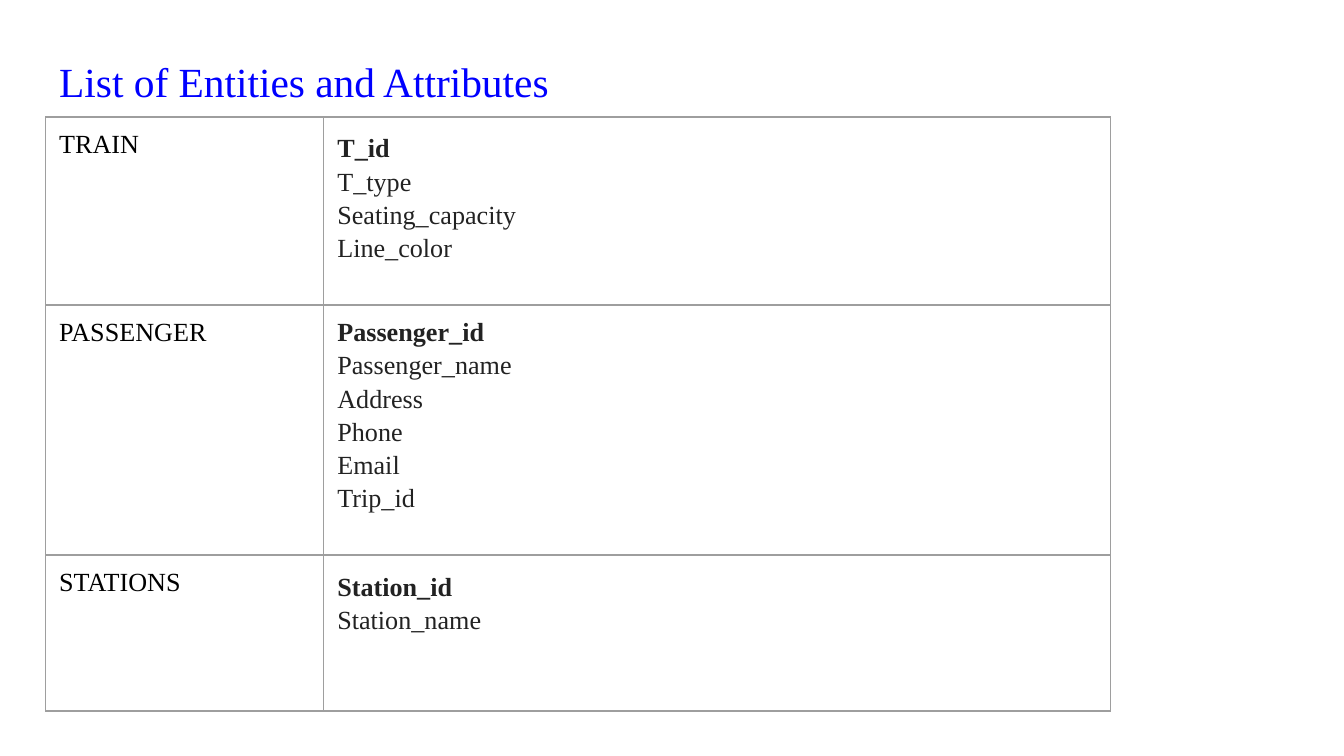
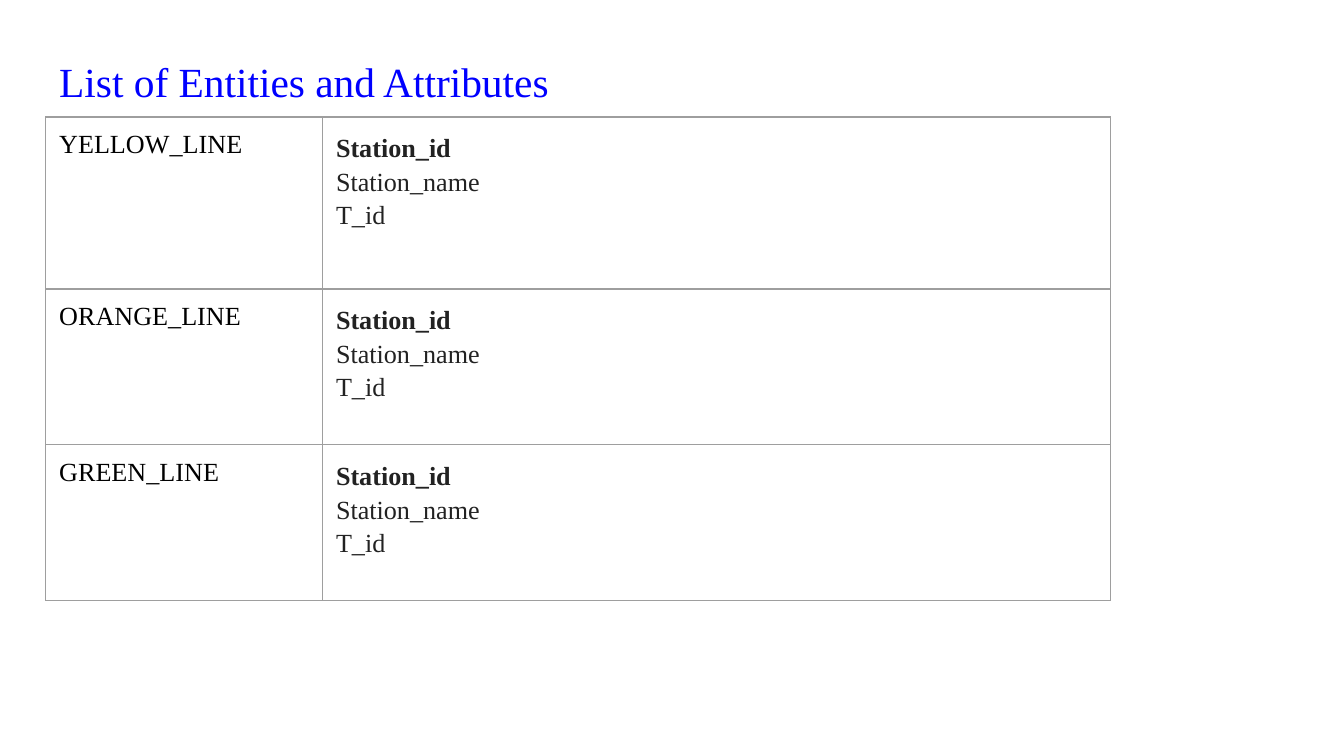
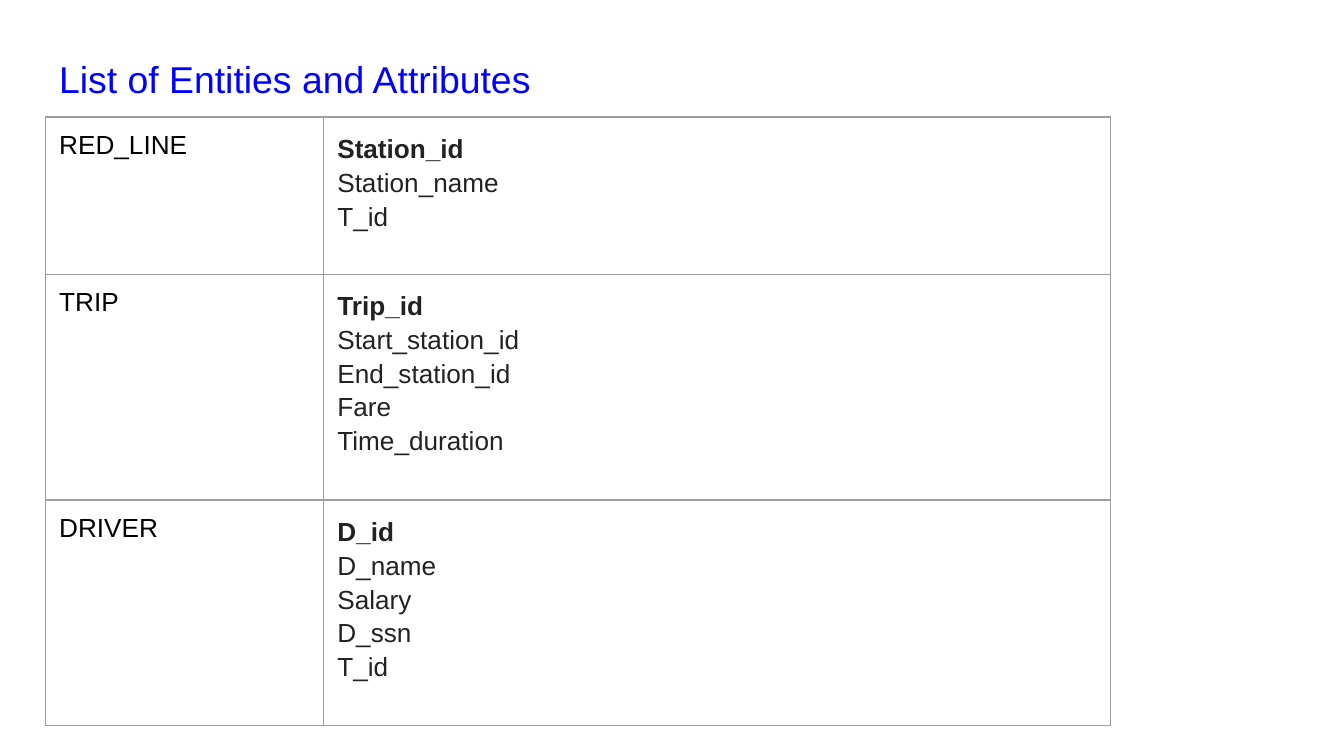
import pptx
import pptx.dml.color
import pptx.enum.text
import pptx.oxml.ns
import pptx.util
from dataclasses import dataclass
from lxml import etree

Inches = pptx.util.Inches
Pt = pptx.util.Pt


@dataclass(frozen=True)
class Theme:
    title: str = "0000FF"
    entity: str = "000000"
    attribute: str = "222222"
    border: str = "9E9E9E"
    border_width: float = 0.75
    cell_size: float = 14
    line_spacing: float = 1.15
    inset: float = 0.1
    left: float = 0.34
    table_top: float = 0.87
    table_width: float = 7.92


theme = Theme()
line_attributes = ["Station_id", "Station_name", "T_id"]
slides = [
    ("Times New Roman", 22.2, 0.62, 2.07, [
        ("TRAIN", 1.4, ["T_id", "T_type", "Seating_capacity", "Line_color"]),
        ("PASSENGER", 1.86, ["Passenger_id", "Passenger_name", "Address",
                             "Phone", "Email", "Trip_id"]),
        ("STATIONS", 1.16, ["Station_id", "Station_name"]),
    ]),
    ("Times New Roman", 22.2, 0.62, 2.06, [
        ("YELLOW_LINE", 1.28, line_attributes),
        ("ORANGE_LINE", 1.16, line_attributes),
        ("GREEN_LINE", 1.16, line_attributes),
    ]),
    ("Arial", 20, 0.55, 2.07, [
        ("RED_LINE", 1.17, line_attributes),
        ("TRIP", 1.68, ["Trip_id", "Start_station_id", "End_station_id",
                        "Fare", "Time_duration"]),
        ("DRIVER", 1.68, ["D_id", "D_name", "Salary", "D_ssn", "T_id"]),
    ]),
]


def style_font(p, name, size, color, bold=False):
    font = p.runs[0].font
    font.name = name
    font.size = Pt(size)
    font.bold = bold
    font.color.rgb = pptx.dml.color.RGBColor.from_string(color)


def style_cell(cell):
    tcPr = cell._tc.get_or_add_tcPr()
    for side in ("a:lnL", "a:lnR", "a:lnT", "a:lnB"):
        ln = etree.SubElement(tcPr, pptx.oxml.ns.qn(side), w=str(Pt(theme.border_width)))
        fill = etree.SubElement(ln, pptx.oxml.ns.qn("a:solidFill"))
        etree.SubElement(fill, pptx.oxml.ns.qn("a:srgbClr"), val=theme.border)
    cell.fill.background()
    cell.margin_left = cell.margin_right = Inches(theme.inset)
    cell.margin_top = cell.margin_bottom = Inches(theme.inset)


prs = pptx.Presentation()
prs.slide_width = Inches(10)
prs.slide_height = prs.slide_width * 9 // 16

for font_name, title_size, title_height, entity_width, entities in slides:
    s = prs.slides.add_slide(prs.slide_layouts[5])
    sp = s.shapes.title
    sp.left, sp.top = Inches(theme.left), Inches(0.32)
    sp.width, sp.height = Inches(9.32), Inches(title_height)
    tf = sp.text_frame
    tf.text = "List of Entities and Attributes"
    tf.word_wrap = True
    tf.auto_size = pptx.enum.text.MSO_AUTO_SIZE.NONE
    tf.vertical_anchor = pptx.enum.text.MSO_ANCHOR.TOP
    tf.margin_left = tf.margin_right = Inches(theme.inset)
    tf.margin_top = tf.margin_bottom = Inches(theme.inset)
    p = tf.paragraphs[0]
    p.alignment = pptx.enum.text.PP_ALIGN.LEFT
    style_font(p, font_name, title_size, theme.title)

    table_height = sum(height for entity, height, attributes in entities)
    table = s.shapes.add_table(
        len(entities), 2, Inches(theme.left), Inches(theme.table_top),
        Inches(theme.table_width), Inches(table_height)).table
    table.first_row = False
    table.horz_banding = False
    table.columns[0].width = Inches(entity_width)
    table.columns[1].width = Inches(theme.table_width - entity_width)

    for row, (entity, height, attributes) in enumerate(entities):
        table.rows[row].height = Inches(height)
        entity_cell, attribute_cell = table.cell(row, 0), table.cell(row, 1)
        style_cell(entity_cell)
        style_cell(attribute_cell)
        entity_cell.text_frame.text = entity
        style_font(entity_cell.text_frame.paragraphs[0], font_name,
                   theme.cell_size, theme.entity)
        attribute_cell.text_frame.text = "\n".join(attributes)
        for i, p in enumerate(attribute_cell.text_frame.paragraphs):
            if attributes[i] != "Passenger_id":
                p.line_spacing = theme.line_spacing
            style_font(p, font_name, theme.cell_size, theme.attribute, bold=i == 0)

prs.save("out.pptx")
